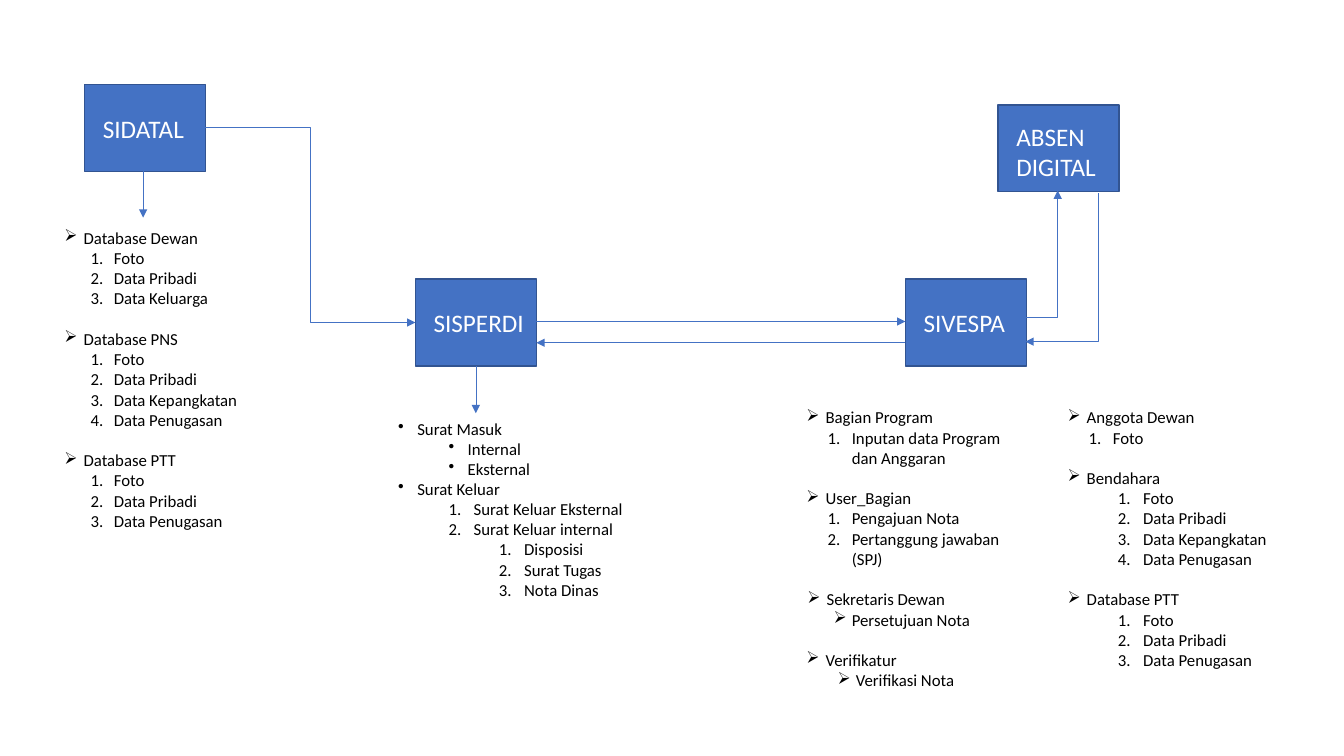
from lxml import etree
from pptx import Presentation
from pptx.dml.color import RGBColor
from pptx.enum import shapes, text
from pptx.oxml.ns import qn
from pptx.util import Inches, Pt

BLUE = RGBColor(0x44, 0x72, 0xC4)
EDGE = RGBColor(0x32, 0x54, 0x91)
WHITE = RGBColor(0xFF, 0xFF, 0xFF)
BLACK = RGBColor(0, 0, 0)
FONT = "Calibri"
BOX_W, BOX_H = 1.2, 0.86
LINE_GAP = Pt(14.6)

HEAD = (0, 0.19, 0.19, "➢")
HEAD_IN = (1, 0.2, 0.19, "➢")
STEP = (2, 0.45, 0.18, "➢")
STEP_IN = (1, 0.49, 0.18, "➢")
DOT = (0, 0.19, 0.19, "•")
DOT_IN = (1, 0.69, 0.19, "•")
NUM = (1, 0.49, 0.23, None)
NUM_NEAR = (1, 0.45, 0.24, None)
NUM_FAR = (1, 0.75, 0.25, None)
NUM_DEEP = (2, 1.25, 0.25, None)

STAFF = ["Foto", "Data Pribadi", "Data Kepangkatan", "Data Penugasan"]
CONTRACT = ["Foto", "Data Pribadi", "Data Penugasan"]

SIDATAL_LIST = [
    (HEAD, ["Database Dewan"]),
    (NUM, ["Foto", "Data Pribadi", "Data Keluarga"]),
    (HEAD, ["Database PNS"]),
    (NUM, STAFF),
    (HEAD, ["Database PTT"]),
    (NUM, CONTRACT),
]
SISPERDI_LIST = [
    (DOT, ["Surat Masuk"]),
    (DOT_IN, ["Internal", "Eksternal"]),
    (DOT, ["Surat Keluar"]),
    (NUM_FAR, ["Surat Keluar Eksternal", "Surat Keluar internal"]),
    (NUM_DEEP, ["Disposisi", "Surat Tugas", "Nota Dinas"]),
]
SIVESPA_LIST = [
    (HEAD, ["Bagian Program"]),
    (NUM_NEAR, ["Inputan data Program dan Anggaran"]),
    (HEAD, ["User_Bagian"]),
    (NUM_NEAR, ["Pengajuan Nota", "Pertanggung jawaban (SPJ)"]),
    (HEAD_IN, ["Sekretaris Dewan"]),
    (STEP, ["Persetujuan Nota"]),
    (HEAD, ["Verifikatur"]),
    (STEP_IN, ["Verifikasi Nota"]),
]
ABSEN_LIST = [
    (HEAD, ["Anggota Dewan"]),
    (NUM_NEAR, ["Foto"]),
    (HEAD, ["Bendahara"]),
    (NUM_FAR, STAFF),
    (HEAD, ["Database PTT"]),
    (NUM_FAR, CONTRACT),
]


def format_font(font, size, color):
    font.name = FONT
    font.size = Pt(size)
    font.color.rgb = color


def add_system(slide, left, top, name, drop=0):
    sp = slide.shapes.add_shape(shapes.MSO_SHAPE.RECTANGLE, Inches(left), Inches(top),
                                Inches(BOX_W), Inches(BOX_H))
    sp.shadow.inherit = False
    sp.fill.solid()
    sp.fill.fore_color.rgb = BLUE
    sp.line.color.rgb = EDGE
    sp.line.width = Pt(1)
    tf = sp.text_frame
    tf.word_wrap = True
    tf.vertical_anchor = text.MSO_ANCHOR.MIDDLE
    tf.margin_left = Inches(0.18)
    tf.margin_top = Inches(drop)
    tf.margin_right = tf.margin_bottom = 0
    tf.text = name
    p = tf.paragraphs[0]
    p.alignment = text.PP_ALIGN.LEFT
    format_font(p.runs[0].font, 18, WHITE)


def add_list(slide, left, top, width, height, groups):
    tb = slide.shapes.add_textbox(Inches(left), Inches(top), Inches(width), Inches(height))
    tf = tb.text_frame
    tf.word_wrap = True
    items = [(style, item) for style, names in groups for item in names]
    for i, (style, item) in enumerate(items):
        p = tf.add_paragraph() if i else tf.paragraphs[0]
        p.text = item
        level, margin, hanging, bullet = style
        p.level = level
        if i and style in (HEAD, HEAD_IN):
            p.space_before = LINE_GAP
        pPr = p._p.get_or_add_pPr()
        pPr.set("marL", str(Inches(margin)))
        pPr.set("indent", str(-Inches(hanging)))
        if bullet:
            etree.SubElement(pPr, qn("a:buChar"), char=bullet)
        else:
            etree.SubElement(pPr, qn("a:buAutoNum"), type="arabicPeriod")
        format_font(p.runs[0].font, 12, BLACK)


def add_arrow(slide, start, end, kind=shapes.MSO_CONNECTOR.STRAIGHT, corner=False, tip="tailEnd"):
    cx = slide.shapes.add_connector(kind, *map(Inches, start + end))
    cx.line.color.rgb = BLUE
    cx.line.width = Pt(0.5)
    etree.SubElement(cx.line._get_or_add_ln(), qn("a:" + tip), type="triangle")
    spPr = cx._element.spPr
    etree.SubElement(spPr, qn("a:effectLst"))
    if corner:
        spPr.find(qn("a:prstGeom")).set("prst", "bentConnector2")


def add_systems(slide):
    add_system(slide, 0.84, 0.84, "SIDATAL")
    add_system(slide, 4.12, 2.77, "SISPERDI")
    add_system(slide, 8.98, 2.77, "SIVESPA")
    add_system(slide, 9.9, 1.04, "ABSEN DIGITAL", drop=0.07)


def add_lists(slide):
    add_list(slide, 0.54, 2.21, 1.92, 3.13, SIDATAL_LIST)
    add_list(slide, 3.85, 4.1, 2.92, 1.92, SISPERDI_LIST)
    add_list(slide, 7.9, 3.99, 2.34, 2.93, SIVESPA_LIST)
    add_list(slide, 10.49, 3.99, 2.34, 2.73, ABSEN_LIST)


def add_flows(slide):
    elbow = shapes.MSO_CONNECTOR.ELBOW
    add_arrow(slide, (1.42, 1.69), (1.42, 2.16))
    add_arrow(slide, (4.72, 3.63), (4.72, 4.1))
    add_arrow(slide, (5.32, 3.19), (8.98, 3.19))
    add_arrow(slide, (8.98, 3.4), (5.32, 3.4))
    add_arrow(slide, (2.03, 1.26), (4.12, 3.2), elbow)
    add_arrow(slide, (10.17, 3.15), (10.49, 1.89), elbow, corner=True)
    add_arrow(slide, (10.17, 3.39), (10.89, 1.92), elbow, corner=True, tip="headEnd")


def main():
    prs = Presentation()
    prs.slide_width, prs.slide_height = Inches(13.33), Inches(7.5)
    slide = prs.slides.add_slide(prs.slide_layouts[6])
    add_systems(slide)
    add_lists(slide)
    add_flows(slide)
    prs.save("out.pptx")


if __name__ == "__main__":
    main()
